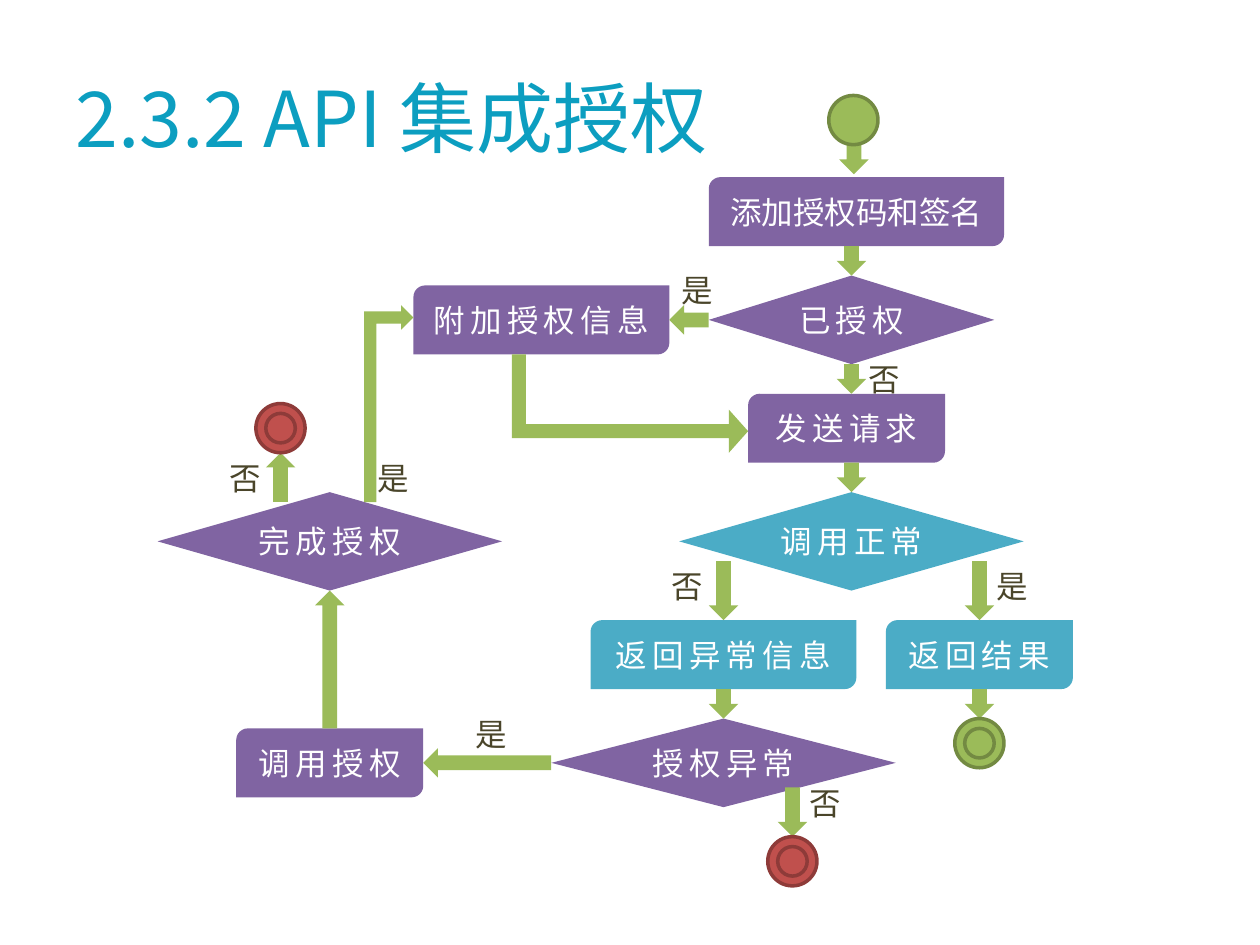
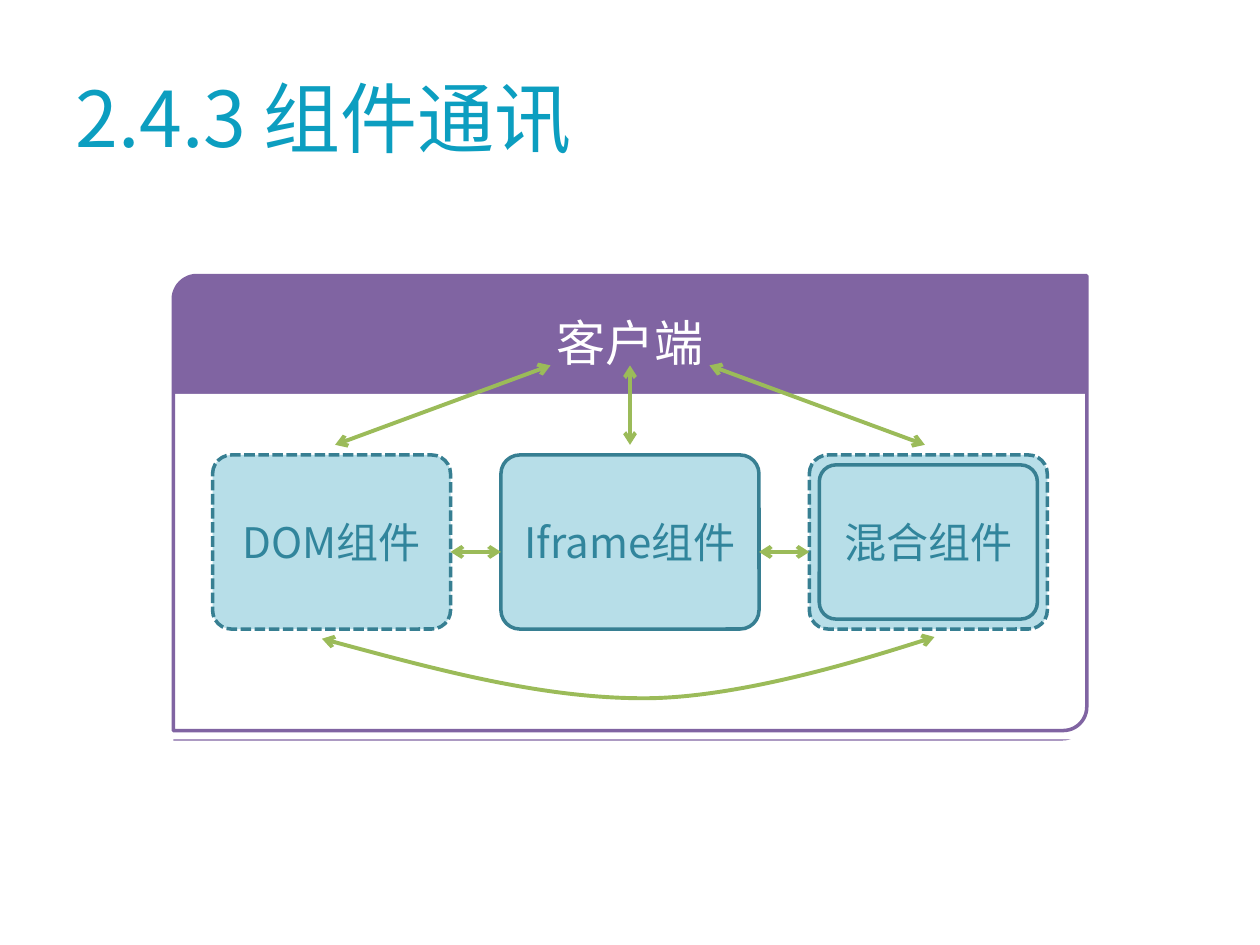
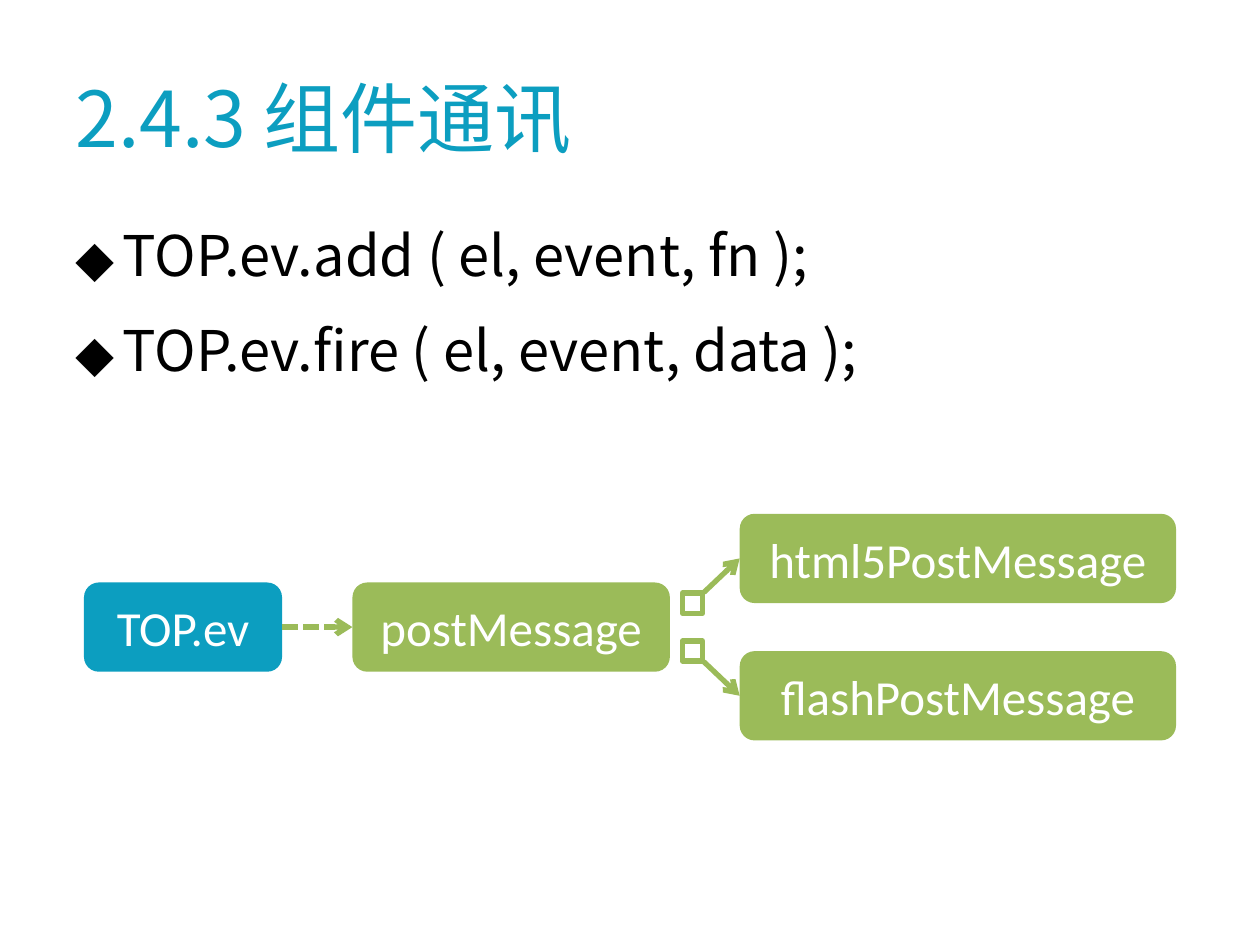
from collections import namedtuple
from dataclasses import dataclass

from lxml import etree
from pptx import Presentation
from pptx import util as u
from pptx.dml.color import RGBColor
from pptx.enum import dml, shapes, text
from pptx.oxml.ns import qn

Pt = u.Pt
Kind = shapes.MSO_SHAPE
Box = namedtuple("Box", "left top width height")


@dataclass(frozen=True)
class Theme:
    title: str = "0C9EC0"
    purple: str = "8064A2"
    teal: str = "4BACC6"
    green: str = "9BBB59"
    green_edge: str = "738A42"
    red: str = "C0504D"
    red_edge: str = "8E3B39"
    pale: str = "B7DEE8"
    pale_edge: str = "377F92"
    pale_text: str = "31859C"
    label: str = "4A452A"
    white: str = "FFFFFF"
    black: str = "000000"
    cjk: str = "Noto Sans CJK SC"
    latin: str = "Calibri"
    title_size: int = 44
    body_size: int = 32
    node_size: int = 28
    card_size: int = 24
    flow_size: int = 18


THEME = Theme()


# Shared helpers
def rgb(value):
    return RGBColor.from_string(value)


def style_text(frame, size, color, font=THEME.cjk, align=text.PP_ALIGN.LEFT, spacing=0):
    for para in frame.paragraphs:
        para.alignment = align
        for span in para.runs:
            span.font.size = Pt(size)
            span.font.color.rgb = rgb(color)
            span.font.name = font
            properties = span.font._element
            etree.SubElement(properties, qn("a:ea")).set("typeface", font)
            if spacing:
                properties.set("spc", str(spacing * 100))


def add_text(page, box, words, size, color, wrap=True, anchor=text.MSO_ANCHOR.TOP):
    frame = page.shapes.add_textbox(*map(Pt, box)).text_frame
    frame.word_wrap = wrap
    frame.vertical_anchor = anchor
    frame.text = words
    style_text(frame, size, color)
    return frame


def style_line(line, color, width, dashed=False):
    line.color.rgb = rgb(color)
    line.width = Pt(width)
    if dashed:
        line.dash_style = dml.MSO_LINE.SQUARE_DOT


def add_figure(page, kind, box, fill=None, edge=None, width=2, dashed=False, adjust=()):
    shape = page.shapes.add_shape(kind, *map(Pt, box))
    shape.shadow.inherit = False
    for index, value in enumerate(adjust):
        shape.adjustments[index] = value
    if fill:
        shape.fill.solid()
        shape.fill.fore_color.rgb = rgb(fill)
    else:
        shape.fill.background()
    if edge:
        style_line(shape.line, edge, width, dashed)
    else:
        shape.line.fill.background()
    return shape


def write_inside(shape, words, size, color=THEME.white, font=THEME.cjk, spacing=0):
    frame = shape.text_frame
    frame.word_wrap = False
    frame.vertical_anchor = text.MSO_ANCHOR.MIDDLE
    frame.text = words
    style_text(frame, size, color, font, text.PP_ALIGN.CENTER, spacing)
    return frame


def add_heads(line, *ends):
    outline = line.line._get_or_add_ln()
    for end in ends:
        etree.SubElement(outline, qn(f"a:{end}")).set("type", "arrow")


def add_link(page, start, end, width, ends=("headEnd", "tailEnd"), dashed=False):
    link = page.shapes.add_connector(shapes.MSO_CONNECTOR.STRAIGHT, *map(Pt, (*start, *end)))
    style_line(link.line, THEME.green, width, dashed)
    add_heads(link, *ends)
    etree.SubElement(link.element.spPr, qn("a:effectLst"))


def add_page(deck, title):
    page = deck.slides.add_slide(deck.slide_layouts[6])
    add_text(page, Box(36, 21.6, 648, 90), title, THEME.title_size, THEME.title,
             anchor=text.MSO_ANCHOR.MIDDLE)
    return page


# Authorisation flow chart, laid out on a grid 96 cells wide
STEPS = [  # column, row, columns wide, words, colour, letter spacing
    (56, 10, 30, "添加授权码和签名", THEME.purple, 0),
    (26, 21, 26, "附加授权信息", THEME.purple, 3),
    (60, 32, 20, "发送请求", THEME.purple, 3),
    (44, 55, 27, "返回异常信息", THEME.teal, 3),
    (74, 55, 19, "返回结果", THEME.teal, 3),
    (8, 66, 19, "调用授权", THEME.purple, 3),
]
DECISIONS = [  # column, row, columns wide, rows high, words, colour
    (56, 20, 29, 9, "已授权", THEME.purple),
    (53, 42, 35, 10, "调用正常", THEME.teal),
    (0, 42, 35, 10, "完成授权", THEME.purple),
    (40, 65, 35, 9, "授权异常", THEME.purple),
]
ARROWS = {  # column, row, columns wide, rows high
    Kind.DOWN_ARROW: [(69.25, 6.7, 3, 3), (69, 17, 3, 3), (69, 29, 3, 3), (69, 39, 3, 3),
                      (56, 49, 3, 6), (82, 49, 3, 6), (56, 62, 3, 3), (82, 62, 3, 3),
                      (63, 72, 3, 5)],
    Kind.LEFT_ARROW: [(52, 23, 4, 3), (27, 68, 13, 3)],
    Kind.UP_ARROW: [(16, 52, 3, 14), (11, 38, 3, 5)],
}
ANSWERS = {
    "是": [(52, 18.9), (31, 64), (21.1, 38), (84, 49)],
    "否": [(71, 27.9), (65, 71), (6.1, 38), (51, 49)],
}
ENDS = [(81, 65, THEME.green, THEME.green_edge),
        (62, 77, THEME.red, THEME.red_edge),
        (10, 33, THEME.red, THEME.red_edge)]


def draw_flow(page, area):
    cell = area.width / 96

    def at(column, row, columns, rows):
        return Box(area.left + column * cell, area.top + row * cell, columns * cell, rows * cell)

    # Steps and decisions
    for column, row, columns, words, color, spacing in STEPS:
        step = add_figure(page, Kind.ROUND_2_DIAG_RECTANGLE, at(column, row, columns, 7), color)
        write_inside(step, words, THEME.flow_size, spacing=spacing)
    for *place, words, color in DECISIONS:
        decision = add_figure(page, Kind.DIAMOND, at(*place), color)
        write_inside(decision, words, THEME.flow_size, spacing=3)

    # Straight and bent arrows
    for kind, places in ARROWS.items():
        for place in places:
            add_figure(page, kind, at(*place), THEME.green)
    to_request = add_figure(page, Kind.BENT_UP_ARROW, at(43, 21, 10, 24), THEME.green,
                            adjust=(0.143, 0.219, 0.196))
    to_attach = add_figure(page, Kind.BENT_UP_ARROW, at(13.5, 30.5, 20, 5), THEME.green)
    to_attach.element.spPr.find(qn("a:xfrm")).set("flipH", "1")
    for bend in (to_request, to_attach):
        bend.rotation = 90

    # Answers beside the arrows
    for words, places in ANSWERS.items():
        for place in places:
            add_text(page, at(*place, 5.76, 5.12), words, THEME.flow_size, THEME.label, wrap=False)

    # Start and end marks
    add_figure(page, Kind.OVAL, at(68.2, 1.7, 5, 5), THEME.green, THEME.green_edge)
    for column, row, color, edge in ENDS:
        for inset in (0, 1):
            size = 5 - 2 * inset
            add_figure(page, Kind.OVAL, at(column + inset, row + inset, size, size), color, edge)


# Client frame with three components
def add_curve(page, points):
    builder = page.shapes.build_freeform(*points[0], scale=Pt(1))
    builder.add_line_segments(points[1:], close=False)
    curve = builder.convert_to_shape()
    curve.shadow.inherit = False
    curve.fill.background()
    style_line(curve.line, THEME.green, 2.25)
    add_heads(curve, "headEnd", "tailEnd")
    # Turn each three points after the first into one Bezier segment
    outline = curve.element.find(".//" + qn("a:path"))
    lines = outline.findall(qn("a:lnTo"))
    for first in range(0, len(lines), 3):
        bend = etree.SubElement(outline, qn("a:cubicBezTo"))
        for line in lines[first:first + 3]:
            bend.append(line[0])
            outline.remove(line)


def draw_client(page, area):
    left, top, width, height = area
    center = left + width / 2

    # Header band and frame
    corners = (0.052, 0)
    header = add_figure(page, Kind.ROUND_2_DIAG_RECTANGLE, area, THEME.purple, adjust=corners)
    frame = write_inside(header, "客户端", THEME.node_size)
    frame.vertical_anchor = text.MSO_ANCHOR.TOP
    frame.paragraphs[0].line_spacing = 1.4
    add_figure(page, Kind.RECTANGLE, Box(left - 22.5, top + 67.5, width + 45, height - 68.2),
               THEME.white)
    add_figure(page, Kind.ROUND_2_DIAG_RECTANGLE, Box(left, top, width, height - 5.7),
               edge=THEME.purple, adjust=corners)

    # Component cards
    side, middle, margin = 136, 147.5, 22.5
    dom = Box(left + margin, top + 102.5, side, 99.5)
    iframe = dom._replace(left=center - middle / 2, width=middle)
    mixed = dom._replace(left=left + width - margin - side)
    inset = 5.7
    inner = Box(mixed.left + inset, mixed.top + inset, side - 2 * inset, mixed.height - 2 * inset)
    for box, words, dashed in ((dom, "DOM组件", True), (iframe, "Iframe组件", False),
                               (mixed, "", True), (inner, "混合组件", False)):
        card = add_figure(page, Kind.ROUNDED_RECTANGLE, box, THEME.pale, THEME.pale_edge,
                          dashed=dashed, adjust=(0.108,))
        if words:
            write_inside(card, words, THEME.card_size, THEME.pale_text)

    # Links to the client and between neighbours
    for side_sign in (-1, 0, 1):
        add_link(page, (center + side_sign * 45.4, top + 51.3),
                 (center + side_sign * 168.5, top + 96.7), 2.25)
    for before, after in ((dom, iframe), (iframe, mixed)):
        add_link(page, (before.left + before.width, top + 157.9), (after.left, top + 157.9), 2.25)
    add_curve(page, [(left + x, top + y) for x, y in (
        (85.3, 207.5), (148, 224.8), (210.6, 241.4), (269, 241.4),
        (327.2, 241.4), (435.2, 206.8), (435.2, 206.8))])


# Code bullets
def draw_calls(page, area, calls):
    frame = add_text(page, area, "\n".join(calls), THEME.body_size, THEME.black)
    for index, para in enumerate(frame.paragraphs):
        para.line_spacing = 1.25
        if index:
            para.space_before = Pt(6.4)
        properties = para._p.get_or_add_pPr()
        properties.set("marL", str(Pt(27)))
        properties.set("indent", str(-Pt(27)))
        etree.SubElement(properties, qn("a:buFont")).set("typeface", THEME.cjk)
        etree.SubElement(properties, qn("a:buChar")).set("char", "⬥")


# Message routes
def draw_routes(page, area):
    left, top, width, height = area
    node_height, target_width, port = 51, 249.3, 11.5
    middle = top + height / 2
    target_left = left + width - target_width

    def add_node(node_left, node_top, node_width, words, color):
        node = add_figure(page, Kind.ROUNDED_RECTANGLE,
                          Box(node_left, node_top, node_width, node_height), color)
        write_inside(node, words, THEME.node_size, font=THEME.latin)

    # Source and dispatcher
    add_node(left, middle - node_height / 2, 113.2, "TOP.ev", THEME.title)
    add_node(left + 153.4, middle - node_height / 2, 181.4, "postMessage", THEME.green)
    add_link(page, (left + 113.2, middle), (left + 153.4, middle), 3, ("tailEnd",), True)

    # Ports and targets, mirrored about the middle
    for sign, words in ((-1, "html5PostMessage"), (1, "flashPostMessage")):
        target_middle = middle + sign * (height - node_height) / 2
        add_node(target_left, target_middle - node_height / 2, target_width, words, THEME.green)
        add_link(page, (left + 354.2, middle + sign * 19.8), (target_left, target_middle), 3,
                 ("tailEnd",))
        add_figure(page, Kind.RECTANGLE,
                   Box(left + 342, middle + sign * 13.7 - port / 2, port, port),
                   THEME.white, THEME.green, 3)


def main():
    deck = Presentation()
    deck.slide_width, deck.slide_height = Pt(720), Pt(540)

    draw_flow(add_page(deck, "2.3.2 API 集成授权"), Box(90, 45, 540, 472.5))
    draw_client(add_page(deck, "2.4.3 组件通讯"), Box(99, 157.5, 522, 265.7))

    page = add_page(deck, "2.4.3 组件通讯")
    draw_calls(page, Box(36, 113, 648, 393),
               ["TOP.ev.add ( el, event, fn );", "TOP.ev.fire ( el, event, data );"])
    draw_routes(page, Box(48, 293.6, 624, 129.5))

    deck.save("out.pptx")


if __name__ == "__main__":
    main()
